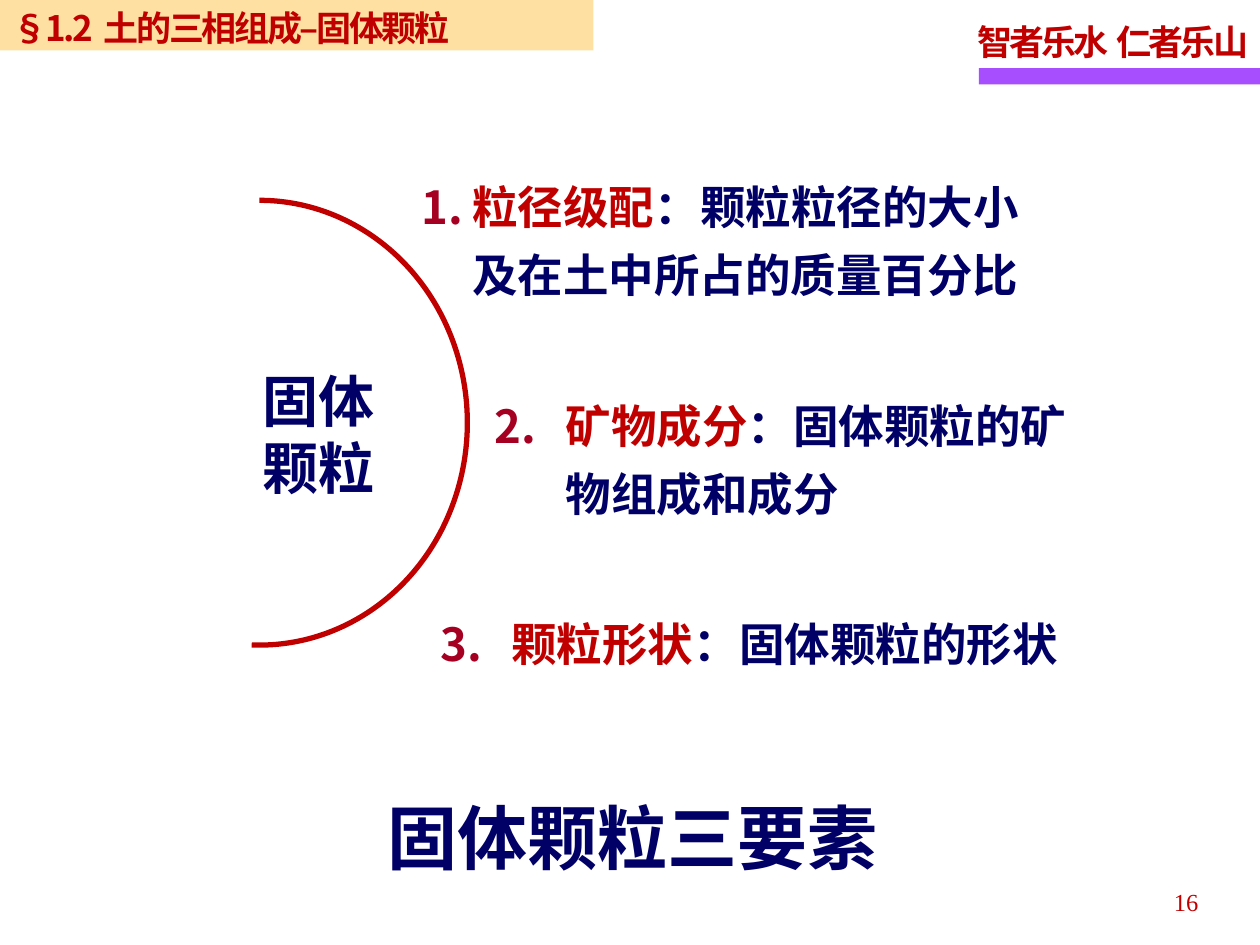
from dataclasses import dataclass

import pptx
import pptx.dml.color
import pptx.enum.shapes
import pptx.enum.text
import pptx.oxml.ns
import pptx.util
from lxml import etree
from pptx.util import Inches

COLORS = {
    "red": "C00000",
    "navy": "000066",
    "number": "A50021",
    "purple": "A74FFF",
    "amber": "FFCC66",
}
SANS = "Noto Sans CJK SC"
SERIF = "Times New Roman"
SHAPE = pptx.enum.shapes.MSO_SHAPE
ALIGN = pptx.enum.text.PP_ALIGN
ANCHOR = pptx.enum.text.MSO_ANCHOR


@dataclass
class Run:
    text: str
    size: float
    color: str
    font: str = SANS
    bold: bool = True
    spacing: float = 0


@dataclass
class Factor:
    number: int
    name: str
    meaning: str
    left: float
    top: float
    width: float
    height: float
    indent: float


FACTORS = [
    Factor(1, "粒径级配", "：颗粒粒径的大小及在土中所占的质量百分比", 3.25, 1.26, 5.1, 1.14, 0.4),
    Factor(2, "矿物成分", "：固体颗粒的矿物组成和成分", 3.83, 3, 5.08, 1.14, 0.56),
    Factor(3, "颗粒形状", "：固体颗粒的形状", 3.4, 4.73, 5.29, 0.65, 0.56),
]


def rgb(name: str) -> pptx.dml.color.RGBColor:
    return pptx.dml.color.RGBColor.from_string(COLORS[name])


def add_element(parent, tag: str, **attrs):
    return etree.SubElement(parent, pptx.oxml.ns.qn(tag), **attrs)


def add_run(p, run: Run) -> None:
    r = p.add_run()
    r.text = run.text
    r.font.size = pptx.util.Pt(run.size)
    r.font.bold = run.bold
    r.font.color.rgb = rgb(run.color)
    r.font.name = run.font
    rPr = r._r.get_or_add_rPr()
    add_element(rPr, "a:ea", typeface=run.font)
    if run.spacing:
        rPr.set("spc", str(round(run.spacing * 100)))


def add_text(slide, left: float, top: float, width: float, height: float,
             line_pt: float, align=ALIGN.LEFT, margin_right: float = 0.1):
    """Add a text box with a fixed line pitch; return its first paragraph."""
    sp = slide.shapes.add_textbox(Inches(left), Inches(top), Inches(width), Inches(height))
    tf = sp.text_frame
    tf.word_wrap = True
    tf.margin_right = Inches(margin_right)
    p = tf.paragraphs[0]
    p.alignment = align
    p.line_spacing = pptx.util.Pt(line_pt)
    return p


def add_bar(slide, left: float, top: float, width: float, height: float, color: str):
    sp = slide.shapes.add_shape(SHAPE.RECTANGLE, Inches(left), Inches(top),
                                Inches(width), Inches(height))
    sp.shadow.inherit = False
    sp.fill.solid()
    sp.fill.fore_color.rgb = rgb(color)
    sp.line.fill.background()
    return sp


def add_factor(slide, factor: Factor) -> None:
    p = add_text(slide, factor.left, factor.top, factor.width, factor.height, 39)
    pPr = p._p.get_or_add_pPr()
    indent = Inches(factor.indent)
    pPr.set("marL", str(indent))
    pPr.set("indent", str(-indent))
    add_element(add_element(pPr, "a:buClr"), "a:srgbClr", val=COLORS["number"])
    add_element(pPr, "a:buFont", typeface=SANS)
    add_element(pPr, "a:buAutoNum", type="arabicPeriod", startAt=str(factor.number))
    add_run(p, Run(factor.name, 26, "red"))
    add_run(p, Run(factor.meaning, 26, "navy"))


def add_header(slide) -> None:
    add_bar(slide, 7.77, 0.54, 2.23, 0.13, "purple")
    p = add_text(slide, 7.66, 0.07, 2.34, 0.49, 27, margin_right=0)
    for text, spacing in (("智者乐水", -1.7), (" ", -0.5), ("仁者乐山", -1.7)):
        add_run(p, Run(text, 20, "red", spacing=spacing))

    sp = add_bar(slide, 0, 0, 4.71, 0.4, "amber")
    fill_color = sp._element.spPr.find(".//" + pptx.oxml.ns.qn("a:srgbClr"))
    add_element(fill_color, "a:alpha", val="60000")
    tf = sp.text_frame
    tf.vertical_anchor = ANCHOR.MIDDLE
    tf.margin_top = Inches(0.08)
    p = tf.paragraphs[0]
    p.alignment = ALIGN.LEFT
    for text, spacing in (("§1.2", -1.4), (" ", 1.7), ("土的三相组成–固体颗粒", -1.4)):
        add_run(p, Run(text, 20, "red", spacing=spacing))


def add_arc(slide) -> None:
    """Draw the right half of an ellipse, ending just past its lowest point."""
    sp = slide.shapes.add_shape(SHAPE.ARC, Inches(0.41), Inches(1.59), Inches(3.3), Inches(3.53))
    sp.shadow.inherit = False
    for i, degrees in enumerate((270, 92)):
        sp.adjustments[i] = degrees * 0.6
    sp.fill.background()
    sp.line.color.rgb = rgb("red")
    sp.line.width = pptx.util.Pt(3)


def main() -> None:
    prs = pptx.Presentation()
    prs.slide_width, prs.slide_height = Inches(10), Inches(7.5)
    slide = prs.slides.add_slide(prs.slide_layouts[6])

    add_header(slide)
    p = add_text(slide, 7.28, 6.96, 2.33, 0.4, 19, ALIGN.RIGHT)
    add_run(p, Run("16", 14, "red", SERIF, bold=False))
    p = add_text(slide, 2.98, 6.26, 4.35, 0.77, 48)
    add_run(p, Run("固体颗粒三要素", 40, "navy"))

    p = add_text(slide, 1.82, 2.86, 1.41, 1.17, 38.4, ALIGN.CENTER)
    add_run(p, Run("固体", 32, "navy"))
    p.add_line_break()
    add_run(p, Run("颗粒", 32, "navy"))

    add_arc(slide)
    for factor in FACTORS:
        add_factor(slide, factor)
    prs.save("out.pptx")


if __name__ == "__main__":
    main()
